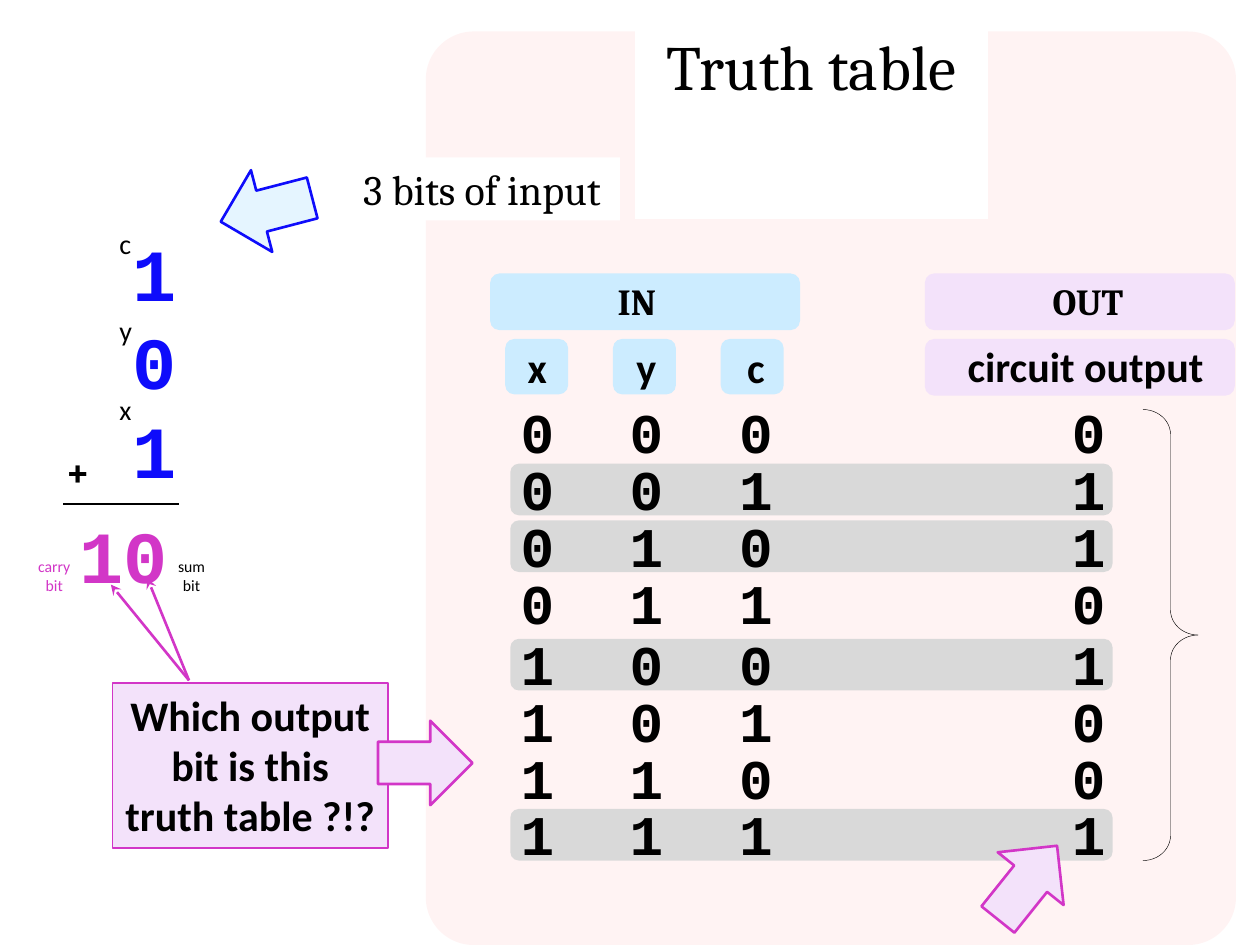
from dataclasses import dataclass
from itertools import product

from lxml import etree
from pptx import Presentation
from pptx.dml.color import RGBColor
from pptx.enum.shapes import MSO_CONNECTOR, MSO_SHAPE
from pptx.enum.text import MSO_ANCHOR, MSO_AUTO_SIZE, PP_ALIGN
from pptx.oxml.ns import qn
from pptx.util import Inches, Pt

LEFT, CENTER, RIGHT = PP_ALIGN.LEFT, PP_ALIGN.CENTER, PP_ALIGN.RIGHT
TOP, MIDDLE = MSO_ANCHOR.TOP, MSO_ANCHOR.MIDDLE
GROW = MSO_AUTO_SIZE.SHAPE_TO_FIT_TEXT
RECT, ROUNDED = MSO_SHAPE.RECTANGLE, MSO_SHAPE.ROUNDED_RECTANGLE
ARROW, BRACE = MSO_SHAPE.RIGHT_ARROW, MSO_SHAPE.RIGHT_BRACE
STRAIGHT = MSO_CONNECTOR.STRAIGHT

BLACK, WHITE, BLUE, MAGENTA = "000000", "FFFFFF", "0E0CFB", "D236C7"
PINK, LILAC, SKY, PALE_BLUE, GRAY = "FFF3F3", "F3E2FA", "CCECFF", "E5F5FF", "D9D9D9"


@dataclass(frozen=True)
class Frame:
    left: float
    top: float
    width: float
    height: float

    def lengths(self) -> list:
        return [Inches(n) for n in (self.left, self.top, self.width, self.height)]


@dataclass(frozen=True)
class Style:
    font: str
    size: float
    color: str = BLACK
    bold: bool = False
    align: PP_ALIGN = CENTER
    anchor: MSO_ANCHOR = TOP


TITLE = Style("Cambria", 36)
CALLOUT = Style("Cambria", 24)
PLUS = Style("Cambria", 24, bold=True)
GROUP = Style("Cambria", 21, bold=True)
HEADING = Style("Calibri", 24, bold=True)
DIGIT = Style("Courier New", 32, bold=True)
ADDENDS = Style("Courier New", 42, BLUE, True, RIGHT, MIDDLE)
RESULT = Style("Courier New", 42, MAGENTA, True, RIGHT)
VARIABLE = Style("Calibri", 16, align=LEFT)


def rgb(color: str) -> RGBColor:
    return RGBColor.from_string(color)


def write(shape, text: str, style: Style, wrap: bool = True) -> None:
    text_frame = shape.text_frame
    text_frame.text = text
    text_frame.word_wrap = wrap
    text_frame.auto_size = GROW
    text_frame.vertical_anchor = style.anchor
    for para in text_frame.paragraphs:
        para.alignment = style.align
        for span in para.runs:
            span.font.name = style.font
            span.font.size = Pt(style.size)
            span.font.bold = style.bold
            span.font.color.rgb = rgb(style.color)


def add_label(page, frame: Frame, text: str, style: Style, wrap: bool = True) -> None:
    write(page.shapes.add_textbox(*frame.lengths()), text, style, wrap)


def add_block(page, kind, frame: Frame, fill: str = "", line: str = "",
              weight: float = 1.5, turn: float = 0):
    block = page.shapes.add_shape(kind, *frame.lengths())
    block.shadow.inherit = False
    block.rotation = turn
    if fill:
        block.fill.solid()
        block.fill.fore_color.rgb = rgb(fill)
    else:
        block.fill.background()
    if line:
        block.line.color.rgb = rgb(line)
        block.line.width = Pt(weight)
    else:
        block.line.fill.background()
    return block


def add_line(page, start: tuple, end: tuple, color: str, pointed: bool = False) -> None:
    line = page.shapes.add_connector(STRAIGHT, *[Inches(n) for n in start + end])
    line.line.color.rgb = rgb(color)
    line.line.width = Pt(1.5)
    if pointed:
        etree.SubElement(line.line._get_or_add_ln(), qn("a:tailEnd"), type="stealth")
    etree.SubElement(line.element.spPr, qn("a:effectLst"))


def add_heading(page) -> None:
    title = page.shapes.title
    title.left, title.top, title.width, title.height = Frame(5.04, 0.17, 2.8, 0.71).lengths()
    title.fill.solid()
    title.fill.fore_color.rgb = rgb(WHITE)
    write(title, "Truth table", TITLE)
    # The panel lies behind the title
    panel = add_block(page, ROUNDED, Frame(3.38, 0.25, 6.43, 7.25), PINK)
    panel.adjustments[0] = 0.059
    title.element.addprevious(panel.element)


def add_sum(page) -> None:
    add_label(page, Frame(0.42, 1.75, 1.08, 2.22), "1\n0\n1", ADDENDS)
    add_line(page, (0.5, 4), (1.42, 4), BLACK)
    add_label(page, Frame(0.52, 4, 0.91, 0.81), "10", RESULT, wrap=False)
    add_label(page, Frame(0.42, 3.48, 0.39, 0.5), "+", PLUS, wrap=False)
    for name, top in (("c", 1.75), ("y", 2.44), ("x", 3.07)):
        add_label(page, Frame(0.85, top, 0.47, 0.37), name, VARIABLE)
    for text, left, color in (("sum bit", 1.26, BLACK), ("carry bit", 0.17, MAGENTA)):
        add_label(page, Frame(left, 4.37, 0.52, 0.4), text, Style("Calibri", 9, color))


def add_truth_table(page) -> None:
    # Group headings and column headings
    for text, left, text_left, text_width, fill in (
            ("IN", 3.89, 4.8, 0.51, SKY), ("OUT", 7.34, 8.24, 0.79, LILAC)):
        add_block(page, ROUNDED, Frame(left, 2.17, 2.46, 0.45), fill)
        add_label(page, Frame(text_left, 2.16, text_width, 0.45), text, GROUP, wrap=False)
    columns = [(3.85, 0.83), (4.69, 0.88), (5.56, 0.88), (8.2, 0.88)]
    for index, (name, (left, width)) in enumerate(zip("xyc", columns)):
        add_block(page, ROUNDED, Frame(4.01 + 0.855 * index, 2.69, 0.5, 0.44), SKY)
        add_label(page, Frame(left, 2.66, width, 0.5), name, HEADING)
    add_block(page, ROUNDED, Frame(7.34, 2.69, 2.46, 0.45), LILAC)
    add_label(page, Frame(7.24, 2.65, 2.75, 0.5), "circuit output", HEADING)

    # Rows in two groups of four, shaded where the output is 1
    for row, bits in enumerate(product((0, 1), repeat=3)):
        top = (4.95 if row >= 4 else 3.11) + 0.45 * (row % 4)
        output = sum(bits) % 2
        if output:
            add_block(page, ROUNDED, Frame(4.05, top + 0.12, 4.78, 0.41), GRAY)
        for bit, (left, width) in zip((*bits, output), columns):
            add_label(page, Frame(left, top, width, 0.63), str(bit), DIGIT)

    brace = add_block(page, BRACE, Frame(9.07, 3.25, 0.44, 3.58), line=BLACK, weight=0.25)
    brace.adjustments[0] = 0.448
    brace.adjustments[1] = 0.5


def add_callouts(page) -> None:
    add_block(page, ARROW, Frame(1.74, 1.33, 0.75, 0.67), PALE_BLUE, BLUE, turn=165.4)
    inputs = add_block(page, RECT, Frame(2.73, 1.25, 2.19, 0.5), WHITE)
    write(inputs, "3 bits of input", CALLOUT, wrap=False)
    question = add_block(page, RECT, Frame(0.89, 5.42, 2.19, 1.31), LILAC, MAGENTA, 0.75)
    write(question, "Which output bit is this truth table ?!?", HEADING)
    for left, top, turn in ((7.78, 6.67, 308.7), (3, 5.72, 0)):
        add_block(page, ARROW, Frame(left, top, 0.75, 0.67), LILAC, MAGENTA, turn=turn)
    for end in ((1.17, 4.59), (0.88, 4.64)):
        add_line(page, (1.5, 5.4), end, MAGENTA, pointed=True)


def main() -> None:
    deck = Presentation()
    deck.slide_width, deck.slide_height = Inches(10), Inches(7.5)
    page = deck.slides.add_slide(deck.slide_layouts[5])
    add_heading(page)
    add_sum(page)
    add_truth_table(page)
    add_callouts(page)
    deck.save("out.pptx")


if __name__ == "__main__":
    main()
